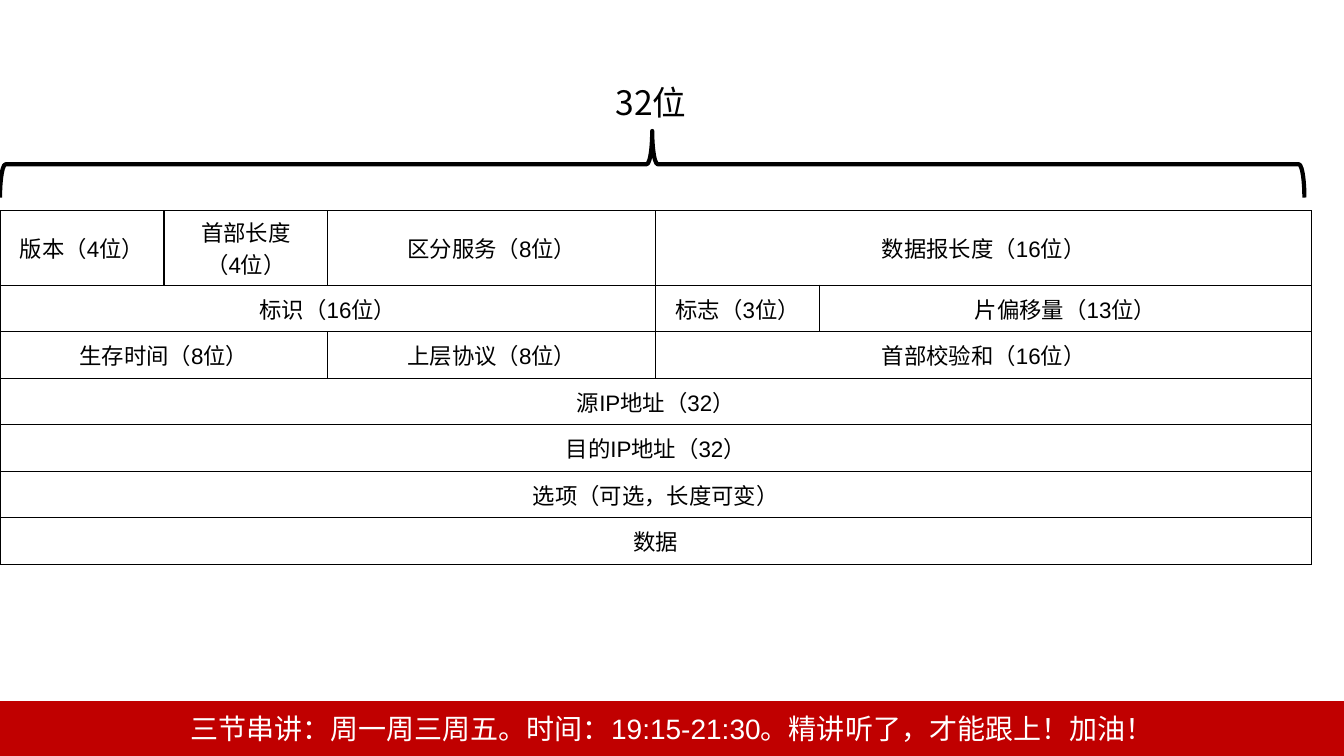
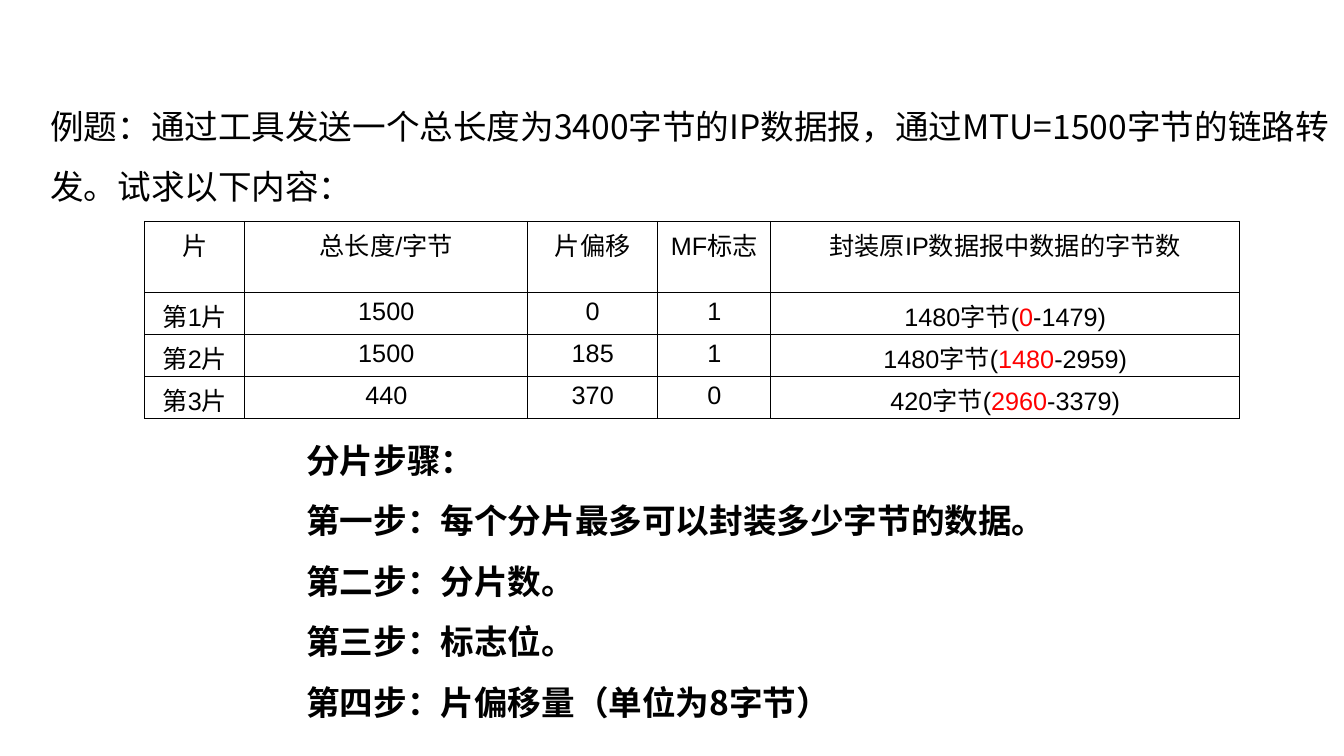
from dataclasses import dataclass

from lxml.etree import SubElement
from pptx import Presentation
from pptx.dml.color import RGBColor
from pptx.enum.shapes import MSO_SHAPE
from pptx.enum.text import MSO_ANCHOR, PP_ALIGN
from pptx.oxml.ns import qn
from pptx.util import Pt


@dataclass(frozen=True)
class Theme:
    black: RGBColor = RGBColor(0, 0, 0)
    white: RGBColor = RGBColor(255, 255, 255)
    band: RGBColor = RGBColor(192, 0, 0)
    accent: RGBColor = RGBColor(255, 0, 0)
    sans: str = "Arial"
    hei: str = "Noto Sans CJK SC"
    head: int = 24
    foot: int = 20
    body: int = 18
    cell: int = 16
    border: int = 1
    brace: int = 3


THEME = Theme()
WIDTH, HEIGHT = 960, 540
LEFT, CENTER = PP_ALIGN.LEFT, PP_ALIGN.CENTER

# Each field: its text and the number of columns it spans
FIELDS = [
    [("版本（4位）", 1), ("首部长度\n（4位）", 1), ("区分服务（8位）", 1), ("数据报长度（16位）", 2)],
    [("标识（16位）", 3), ("标志（3位）", 1), ("片偏移量（13位）", 1)],
    [("生存时间（8位）", 2), ("上层协议（8位）", 1), ("首部校验和（16位）", 2)],
    [("源IP地址（32）", 5)],
    [("目的IP地址（32）", 5)],
    [("选项（可选，长度可变）", 5)],
    [("数据", 5)],
]

# Text between bars takes the accent colour
PIECES = [
    ["片", "总长度/字节", "片偏移", "MF标志", "封装原IP数据报中数据的字节数"],
    ["第1片", "1500", "0", "1", "1480字节(|0|-1479)"],
    ["第2片", "1500", "185", "1", "1480字节(|1480|-2959)"],
    ["第3片", "440", "370", "0", "420字节(|2960|-3379)"],
]

STEPS = """分片步骤：
第一步：每个分片最多可以封装多少字节的数据。
第二步：分片数。
第三步：标志位。
第四步：片偏移量（单位为8字节）"""


def write(frame, text, size, face=THEME.sans, color=THEME.black,
          align=CENTER, bold=False, lead=None):
    """Fill a text frame, one paragraph a line."""
    for i, line in enumerate(text.split("\n")):
        para = frame.add_paragraph() if i else frame.paragraphs[0]
        para.alignment = align
        if lead:
            para.line_spacing = lead
        font = para.font
        font.size, font.name, font.bold = Pt(size), face, bold
        font.color.rgb = color
        for j, part in enumerate(line.split("|")):
            run = para.add_run()
            run.text = part
            if j % 2:
                run.font.color.rgb = THEME.accent


def add_text(slide, box, text, wrap=True, **look):
    frame = slide.shapes.add_textbox(*map(Pt, box)).text_frame
    frame.word_wrap = wrap
    write(frame, text, THEME.head, THEME.hei, **look)


def add_shape(slide, kind, box, line, weight):
    shape = slide.shapes.add_shape(kind, *map(Pt, box))
    shape.shadow.inherit = False
    shape.line.color.rgb = line
    shape.line.width = Pt(weight)
    return shape


def frame_cell(cell):
    """Clear the fill and draw a border on all four sides."""
    cell.fill.background()
    props = cell._tc.get_or_add_tcPr()
    for i, side in enumerate(("lnL", "lnR", "lnT", "lnB")):
        line = SubElement(props, qn(f"a:{side}"), w=str(Pt(THEME.border)))
        fill = SubElement(line, qn("a:solidFill"))
        SubElement(fill, qn("a:srgbClr"), val=str(THEME.black))
        props.insert(i, line)


def add_grid(slide, left, top, cols, rows):
    """Add a plain ruled table from column widths and row heights."""
    sizes = map(Pt, (left, top, sum(cols), sum(rows)))
    table = slide.shapes.add_table(len(rows), len(cols), *sizes).table
    table.first_row = table.horz_banding = False
    for col, width in zip(table.columns, cols):
        col.width = Pt(width)
    for row, height in zip(table.rows, rows):
        row.height = Pt(height)
    for cell in table.iter_cells():
        frame_cell(cell)
    return table


def add_brace(slide, left, top, width, height):
    """Lay a left brace on its side so that it spans the box."""
    box = (left + (width - height) / 2, top + (height - width) / 2, height, width)
    brace = add_shape(slide, MSO_SHAPE.LEFT_BRACE, box, THEME.black, THEME.brace)
    brace.fill.background()
    brace.rotation = 90


def add_band(slide, text, height=39):
    box = (0, HEIGHT - height, WIDTH, height)
    band = add_shape(slide, MSO_SHAPE.RECTANGLE, box, THEME.band, THEME.border)
    band.fill.solid()
    band.fill.fore_color.rgb = THEME.band
    band.text_frame.vertical_anchor = MSO_ANCHOR.MIDDLE
    write(band.text_frame, text, THEME.foot, color=THEME.white)


def add_header(slide, left, top):
    """Draw the datagram header as merged table fields."""
    unit = 117.1
    cols = [unit, unit, 2 * unit, unit, 3 * unit]
    table = add_grid(slide, left, top, cols, [53] + [33.2] * 6)
    for r, fields in enumerate(FIELDS):
        c = 0
        for text, span in fields:
            cell = table.cell(r, c)
            if span > 1:
                cell.merge(table.cell(r, c + span - 1))
            cell.vertical_anchor = MSO_ANCHOR.MIDDLE
            write(cell.text_frame, text, THEME.cell)
            c += span


def add_pieces(slide, left, top):
    cols = [71.4, 202.1, 92.9, 80.7, 335]
    table = add_grid(slide, left, top, cols, [50.7] + [30] * 3)
    for r, texts in enumerate(PIECES):
        for c, text in enumerate(texts):
            cell = table.cell(r, c)
            cell.margin_left = cell.margin_right = Pt(3.6)
            cell.margin_bottom = 0
            write(cell.text_frame, text, THEME.body)


def format_slide(slide):
    add_header(slide, 0, 150.5)
    add_text(slide, (427, 55, 76, 36), "32位", wrap=False)
    add_brace(slide, 0, 93.6, 931.7, 47.5)
    add_band(slide, "三节串讲：周一周三周五。时间：19:15-21:30。精讲听了，才能跟上！加油！")


def sample_slide(slide):
    add_text(slide, (28.8, 57.6, 931.7, 94),
             "例题：通过工具发送一个总长度为3400字节的IP数据报，"
             "通过MTU=1500字节的链路转发。试求以下内容：",
             align=LEFT, lead=1.5)
    add_pieces(slide, 103.5, 158.2)
    add_text(slide, (211.7, 296, 608.4, 225), STEPS,
             align=LEFT, bold=True, lead=1.5)


def main():
    deck = Presentation()
    deck.slide_width, deck.slide_height = Pt(WIDTH), Pt(HEIGHT)
    for build in (format_slide, sample_slide):
        build(deck.slides.add_slide(deck.slide_layouts[6]))
    deck.save("out.pptx")


if __name__ == "__main__":
    main()
